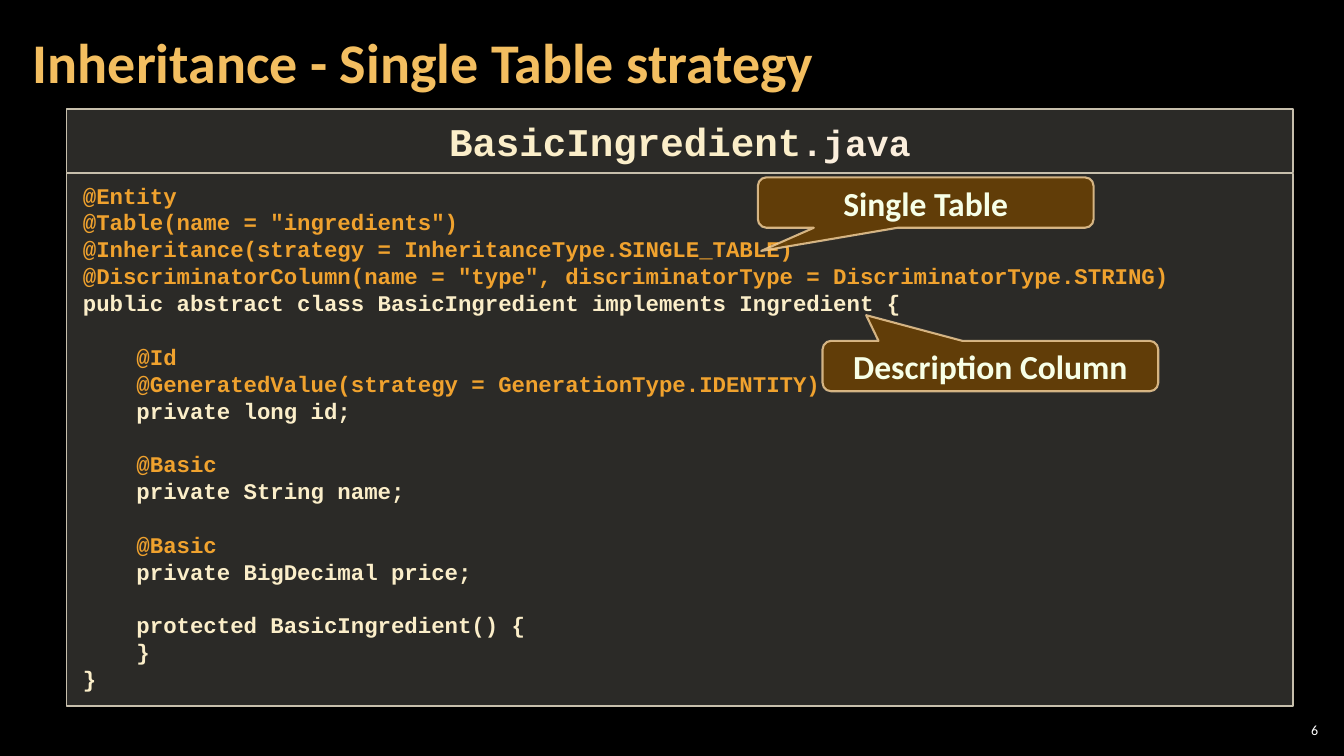
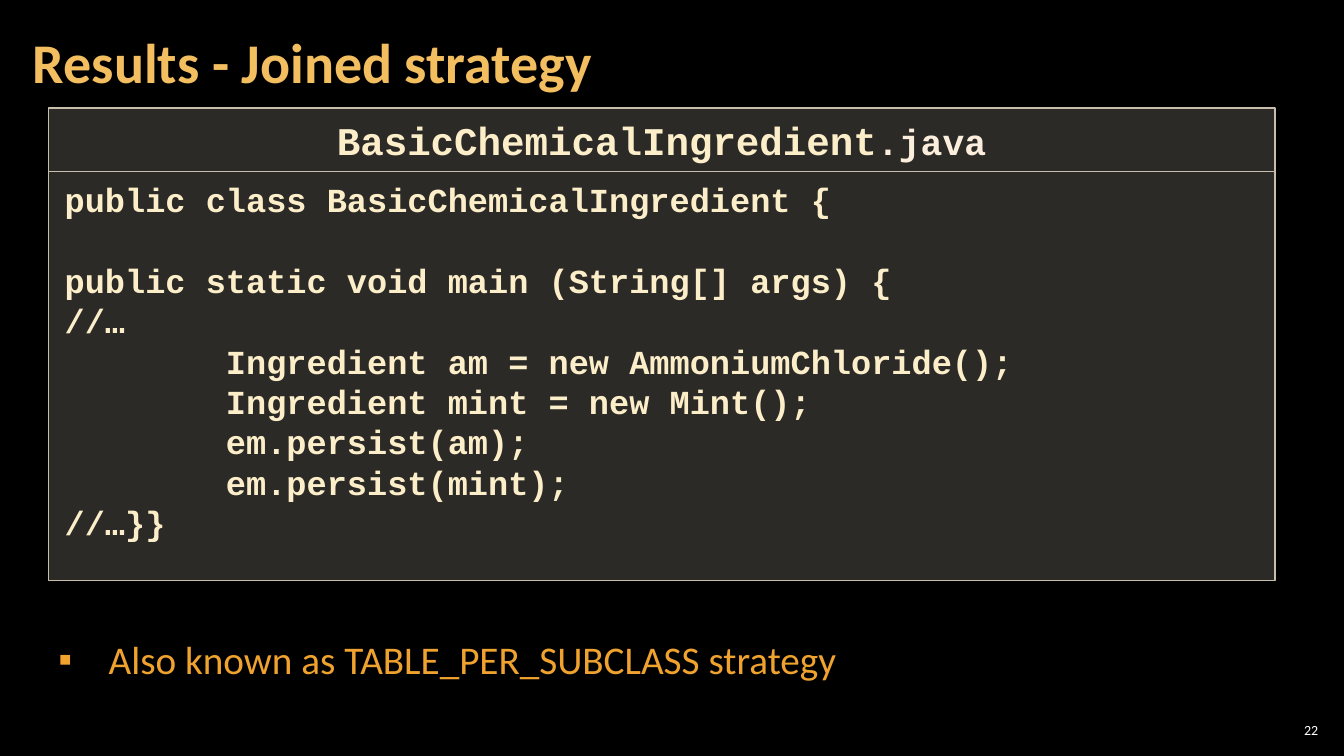
from lxml import etree
from pptx import Presentation
from pptx.dml.color import RGBColor
from pptx.enum import shapes, text
from pptx.oxml.ns import qn
from pptx.util import Cm, Pt

BLACK, WHITE = "000000", "FFFFFF"
GOLD, ORANGE = "F3BE60", "F0A22E"
CREAM, PALE_CREAM = "FBEEC9", "FBEEDC"
PANEL_FILL, PANEL_LINE = "D9D5C7", "C7BFAC"
CALLOUT_FILL, CALLOUT_LINE, CALLOUT_TEXT = "643F07", "F8D49E", "F7FFE7"
SANS, MONO = "Calibri", "Courier New"
PANEL_WIDTH, HEADER_HEIGHT = 30.91, 1.6
BLANK_LINE = 1.2  # height of an empty code line, in font sizes

ENTITY_CODE = """@Entity
@Table(name = "ingredients")
@Inheritance(strategy = InheritanceType.SINGLE_TABLE)
@DiscriminatorColumn(name = "type", discriminatorType = DiscriminatorType.STRING)
public abstract class BasicIngredient implements Ingredient {

    @Id
    @GeneratedValue(strategy = GenerationType.IDENTITY)
    private long id;

    @Basic
    private String name;

    @Basic
    private BigDecimal price;

    protected BasicIngredient() {
    }
}"""

MAIN_CODE = """public class BasicChemicalIngredient {

public static void main (String[] args) {
//…
        Ingredient am = new AmmoniumChloride();
        Ingredient mint = new Mint();
        em.persist(am);
        em.persist(mint);
//…}}"""

# Lengths are in centimetres.
SLIDES = [
    {
        "title": "Inheritance - Single Table strategy", "number": "6",
        "class": "BasicIngredient", "code": ENTITY_CODE, "code_size": 16,
        "left": 1.68, "header_top": 2.75, "code_top": 4.38, "code_height": 13.41,
        "callouts": [
            ("Single Table", 19.1, 4.47, (-0.49, 0.96, 0.17)),
            ("Description Column", 20.73, 8.59, (-0.37, -1.01, 0.17)),
        ],
    },
    {
        "title": "Results - Joined strategy", "number": "22",
        "class": "BasicChemicalIngredient", "code": MAIN_CODE, "code_size": 24,
        "left": 1.22, "header_top": 2.72, "code_top": 4.32, "code_height": 10.31,
        "bullet": "Also known as TABLE_PER_SUBCLASS strategy",
    },
]


def rgb(value):
    return RGBColor.from_string(value)


def box(left, top, width, height):
    return Cm(left), Cm(top), Cm(width), Cm(height)


def place(shape, left, top, width, height):
    shape.left, shape.top, shape.width, shape.height = box(left, top, width, height)


def set_frame(shape, side, edge, anchor):
    """Set the wrapping, insets and vertical anchor of a shape's text."""
    frame = shape.text_frame
    frame.word_wrap = True
    frame.auto_size = text.MSO_AUTO_SIZE.NONE
    frame.margin_left = frame.margin_right = Cm(side)
    frame.margin_top = frame.margin_bottom = Cm(edge)
    frame.vertical_anchor = anchor
    return frame


def add_run(paragraph, content, size, color, font=SANS, bold=True):
    run = paragraph.add_run()
    run.text = content
    run.font.name, run.font.size, run.font.bold = font, Pt(size), bold
    run.font.color.rgb = rgb(color)


def set_opacity(fill, percent):
    color = fill._xPr.find(qn("a:solidFill"))[0]
    etree.SubElement(color, qn("a:alpha")).set("val", str(percent * 1000))


def add_filled(slide, kind, bounds, fill, opacity, line, line_width):
    shape = slide.shapes.add_shape(kind, *box(*bounds))
    shape.shadow.inherit = False
    shape.fill.solid()
    shape.fill.fore_color.rgb = rgb(fill)
    set_opacity(shape.fill, opacity)
    shape.line.color.rgb = rgb(line)
    shape.line.width = Pt(line_width)
    return shape


def add_panel(slide, left, top, height):
    shape = add_filled(slide, shapes.MSO_SHAPE.RECTANGLE,
                       (left, top, PANEL_WIDTH, height),
                       PANEL_FILL, 20, PANEL_LINE, 1)
    return set_frame(shape, 0.41, 0.2, text.MSO_ANCHOR.TOP)


def add_code(frame, code, size):
    """Write code lines; an empty line becomes space before the next one."""
    paragraph, gap = frame.paragraphs[0], 0
    for index, line in enumerate(code.splitlines()):
        if not line:
            gap += BLANK_LINE * size
            continue
        if index:
            paragraph = frame.add_paragraph()
        paragraph.alignment = text.PP_ALIGN.LEFT
        paragraph.space_before = Pt(gap)
        color = ORANGE if line.lstrip().startswith("@") else CREAM
        add_run(paragraph, line, size, color, MONO)
        gap = 0


def add_listing(slide, content):
    left = content["left"]
    code_frame = add_panel(slide, left, content["code_top"], content["code_height"])
    add_code(code_frame, content["code"], content["code_size"])
    header = add_panel(slide, left, content["header_top"], HEADER_HEIGHT).paragraphs[0]
    header.alignment = text.PP_ALIGN.CENTER
    add_run(header, content["class"], 28, CREAM, MONO)
    add_run(header, ".java", 26, PALE_CREAM, MONO)


def add_callout(slide, label, left, top, adjustments):
    shape = add_filled(slide, shapes.MSO_SHAPE.ROUNDED_RECTANGULAR_CALLOUT,
                       (left, top, 8.46, 1.27),
                       CALLOUT_FILL, 95, CALLOUT_LINE, 1.5)
    set_opacity(shape.line.fill, 80)
    for index, value in enumerate(adjustments):
        shape.adjustments[index] = value
    frame = set_frame(shape, 0.25, 0.13, text.MSO_ANCHOR.MIDDLE)
    frame.paragraphs[0].alignment = text.PP_ALIGN.CENTER
    add_run(frame.paragraphs[0], label, 24, CALLOUT_TEXT)


def fill_bullet(shape, content):
    place(shape, 1.22, 15.88, PANEL_WIDTH, 1.45)
    frame = set_frame(shape, 0.25, 0.13, text.MSO_ANCHOR.TOP)
    paragraph = frame.paragraphs[0]
    paragraph.space_before = Pt(0)
    properties = paragraph._p.get_or_add_pPr()
    properties.set("marL", str(Cm(1.27)))
    properties.set("indent", str(-Cm(1.27)))
    etree.SubElement(properties, qn("a:buChar")).set("char", "▪")
    add_run(paragraph, content, 28, ORANGE, bold=False)


def fill_title(shape, content):
    place(shape, 0.53, 0.1, 26.59, 3.07)
    frame = set_frame(shape, 0.3, 0.1, text.MSO_ANCHOR.MIDDLE)
    paragraph = frame.paragraphs[0]
    paragraph.alignment = text.PP_ALIGN.LEFT
    paragraph.line_spacing = 0.9
    add_run(paragraph, content, 40, GOLD)


def add_slide_number(slide, number):
    shape = slide.shapes.add_textbox(*box(32.13, 18.14, 1.19, 0.53))
    frame = set_frame(shape, 0.1, 0.1, text.MSO_ANCHOR.MIDDLE)
    frame.paragraphs[0].alignment = text.PP_ALIGN.RIGHT
    add_run(frame.paragraphs[0], number, 10, WHITE, bold=False)


def build_slide(presentation, content):
    layout = "Title and Content" if "bullet" in content else "Title Only"
    slide = presentation.slides.add_slide(
        presentation.slide_layouts.get_by_name(layout))
    fill_title(slide.shapes.title, content["title"])
    add_slide_number(slide, content["number"])
    add_listing(slide, content)
    for callout in content.get("callouts", []):
        add_callout(slide, *callout)
    if "bullet" in content:
        fill_bullet(slide.placeholders[1], content["bullet"])


def main():
    presentation = Presentation()
    presentation.slide_width, presentation.slide_height = Cm(33.87), Cm(19.05)
    background = presentation.slide_master.background.fill
    background.solid()
    background.fore_color.rgb = rgb(BLACK)
    for content in SLIDES:
        build_slide(presentation, content)
    presentation.save("out.pptx")


if __name__ == "__main__":
    main()
